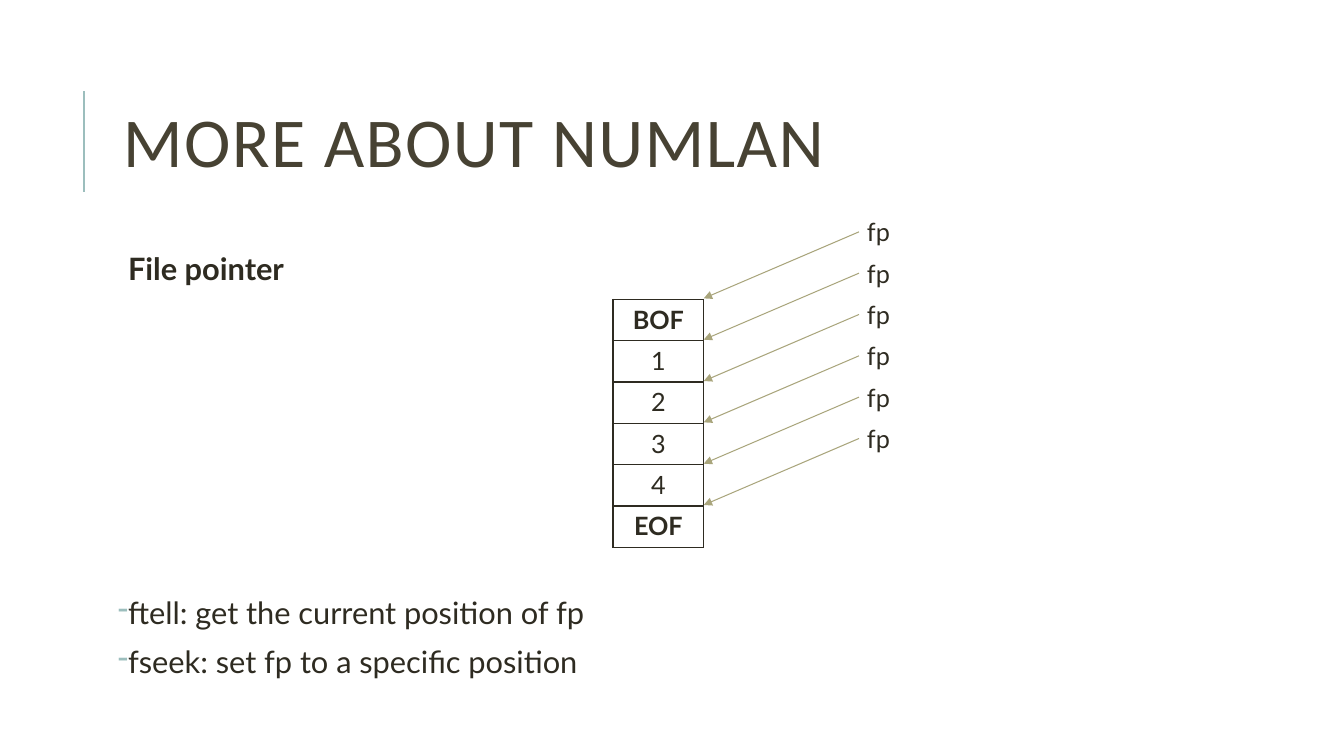
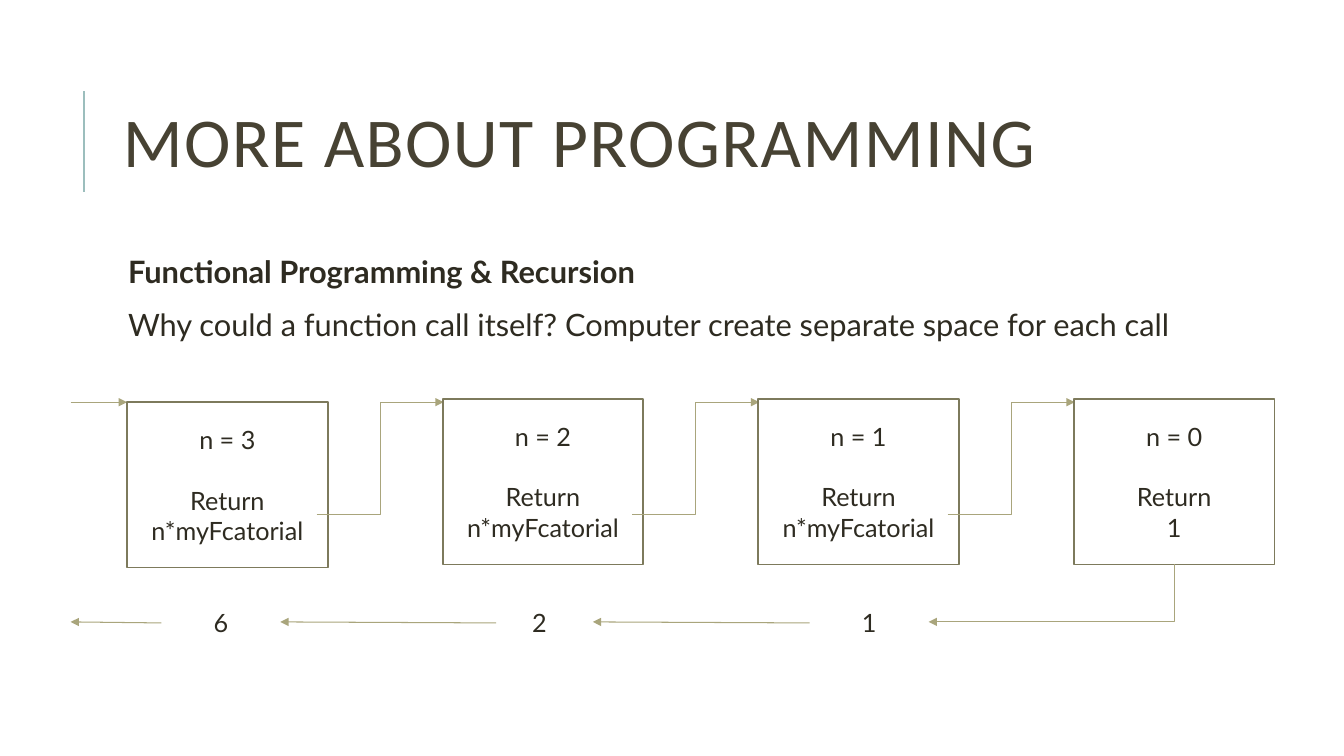
import pptx
import pptx.util
import pptx.dml.color
import pptx.enum.shapes
import pptx.enum.text
import pptx.oxml
import pptx.oxml.ns
from lxml import etree

Inches, Pt = pptx.util.Inches, pptx.util.Pt
PP_ALIGN = pptx.enum.text.PP_ALIGN
ANCHOR = pptx.enum.text.MSO_ANCHOR
CONNECTOR = pptx.enum.shapes.MSO_CONNECTOR
qn = pptx.oxml.ns.qn

COLORS = {"title": "474233", "text": "2E2B21", "accent": "9CBEBD",
          "arrow": "A9A57C", "frame": "7D7A5C"}
TITLE_FONT, BODY_FONT = "Calibri", "Lato"


def color(name):
    return pptx.dml.color.RGBColor.from_string(COLORS[name])


def style(paragraph, size=18, bold=False, font=BODY_FONT, shade="text", align=None):
    paragraph.alignment = align
    for run in paragraph.runs:
        run.font.size, run.font.bold, run.font.name = Pt(size), bold, font
        run.font.color.rgb = color(shade)


def add_text(slide, left, top, width, height, text, **look):
    label = slide.shapes.add_textbox(Inches(left), Inches(top), Inches(width), Inches(height))
    label.text_frame.word_wrap = True
    label.text_frame.text = text
    style(label.text_frame.paragraphs[0], **look)
    return label.text_frame


def add_line(slide, start, end, kind=CONNECTOR.STRAIGHT, shade="arrow", weight=0.75, arrow=True):
    line = slide.shapes.add_connector(kind, *[Inches(v) for v in (*start, *end)])
    line.line.color.rgb = color(shade)
    line.line.width = Pt(weight)
    properties = line._element.spPr
    if arrow:
        etree.SubElement(properties.find(qn("a:ln")), qn("a:tailEnd"), type="triangle")
    etree.SubElement(properties, qn("a:effectLst"))
    return line


# Shared title with its accent rule
def add_title(slide, text):
    add_line(slide, (0.83, 1.9), (0.83, 0.9), shade="accent", weight=1.5, arrow=False)
    frame = add_text(slide, 1.12, 0.64, 10.63, 1.64, text,
                     size=50, font=TITLE_FONT, shade="title")
    frame.vertical_anchor = ANCHOR.MIDDLE
    frame.paragraphs[0].line_spacing = 0.8
    frame.paragraphs[0].runs[0]._r.get_or_add_rPr().set("spc", "100")


# Body text: bold heading, then lines of (text, dashed, space before)
def add_body(slide, heading, lines, line_spacing):
    frame = add_text(slide, 1.12, 2.5, 10.63, 4.4, heading)
    frame.margin_left = frame.margin_right = Inches(0.05)
    frame.margin_top = frame.margin_bottom = Inches(0.05)
    for index, (text, dashed, before) in enumerate([(heading, False, 12), *lines]):
        paragraph = frame.add_paragraph() if index else frame.paragraphs[0]
        paragraph.text = text
        style(paragraph, size=22, bold=index == 0)
        paragraph.line_spacing = line_spacing
        paragraph.space_before, paragraph.space_after = Pt(before), Pt(2)
        properties = paragraph._p.get_or_add_pPr()
        properties.set("marL", str(Inches(0.1)))
        properties.set("indent", str(-Inches(0.1) if dashed else 0))
        if dashed:
            bullet_color = etree.SubElement(properties, qn("a:buClr"))
            etree.SubElement(bullet_color, qn("a:srgbClr"), val=COLORS["accent"])
            etree.SubElement(properties, qn("a:buChar"), char="-")


def border_cell(cell):
    properties = cell._tc.get_or_add_tcPr()
    for position, side in enumerate(("lnL", "lnR", "lnT", "lnB")):
        border = etree.Element(qn("a:" + side), w=str(Pt(1)))
        fill = etree.SubElement(border, qn("a:solidFill"))
        etree.SubElement(fill, qn("a:srgbClr"), val=COLORS["text"])
        properties.insert(position, border)


# File cells, one per row
def add_file_table(slide, left, top, width, row_height, records):
    table = slide.shapes.add_table(
        len(records), 1, Inches(left), Inches(top), Inches(width),
        Inches(row_height * len(records))).table
    table.first_row = table.horz_banding = False
    for row, record in enumerate(records):
        table.rows[row].height = Inches(row_height)
        cell = table.cell(row, 0)
        cell.text_frame.text = record
        style(cell.text_frame.paragraphs[0], bold=record in ("BOF", "EOF"),
              align=PP_ALIGN.CENTER)
        cell.fill.background()
        border_cell(cell)


# Pointer labels with arrows to the row edges
def add_pointers(slide, left, top, step, count, target_x):
    for index in range(count):
        y = top + index * step
        add_line(slide, (left + 0.02, y + 0.2), (target_x, y + 0.86))
        add_text(slide, left, y, 0.79, 0.4, "fp")


# One function call: its argument and what it returns
def add_call(slide, left, top, width, height, argument, returned):
    call = slide.shapes.add_shape(pptx.enum.shapes.MSO_SHAPE.RECTANGLE,
                                  Inches(left), Inches(top), Inches(width), Inches(height))
    call.shadow.inherit = False
    call.fill.background()
    call.line.color.rgb = color("frame")
    call.line.width = Pt(1.25)
    frame = call.text_frame
    frame.word_wrap = True
    frame.vertical_anchor = ANCHOR.MIDDLE
    frame.text = "\n".join([argument, *returned])
    for paragraph in frame.paragraphs:
        style(paragraph, align=PP_ALIGN.CENTER)
    frame.paragraphs[1].space_before = Pt(21.6)


# Chain of calls, each leading into the next
def add_call_chain(slide, left, top, pitch, width, height):
    recursive = ["Return n*myFcatorial"]
    calls = [("n = 3", recursive), ("n = 2", recursive), ("n = 1", recursive),
             ("n = 0", ["Return", "1"])]
    entry_y = top + 0.03
    add_line(slide, (left - 0.56, entry_y), (left, entry_y))
    for index, (argument, returned) in enumerate(calls):
        x = left + index * pitch
        add_call(slide, x, top if index else entry_y, width, height, argument, returned)
        if index < len(calls) - 1:
            add_line(slide, (x + 1.88, top + 1.14), (x + pitch + 0.01, entry_y),
                     kind=CONNECTOR.ELBOW)


# Corner arrow that runs down from start, then left to end
def add_corner_arrow(slide, start, end):
    center_x, center_y = (start[0] + end[0]) / 2, (start[1] + end[1]) / 2
    half_run, half_drop = (start[0] - end[0]) / 2, (end[1] - start[1]) / 2
    corner = add_line(slide, (center_x - half_drop, center_y - half_run),
                      (center_x + half_drop, center_y + half_run), kind=CONNECTOR.ELBOW)
    properties = corner._element.spPr
    properties.find(qn("a:xfrm")).set("rot", "5400000")
    properties.find(qn("a:prstGeom")).set("prst", "bentConnector2")


# Values handed back from right to left
def add_results(slide, top, width, last_call_bottom):
    y = top + 0.2
    add_corner_arrow(slide, last_call_bottom, (8.03 + width, y - 0.01))
    results = [("1", 8.03, 8.03, 5.88), ("2", 4.76, 4.92, 2.78), ("6", 1.6, 1.6, 0.7)]
    for value, left, arrow_start, arrow_end in results:
        add_text(slide, left, top, width, 0.4, value, align=PP_ALIGN.CENTER)
        add_line(slide, (arrow_start, y), (arrow_end, y - 0.01))


def build_file_pointer(slide):
    add_title(slide, "MORE ABOUT NUMLAN")
    add_body(slide, "File pointer",
             [("ftell: get the current position of fp", True, 222.5),
              ("fseek: set fp to a specific position", True, 12)], 0.8)
    add_file_table(slide, 6.08, 2.97, 0.9, 0.41, ["BOF", "1", "2", "3", "4", "EOF"])
    add_pointers(slide, 8.5, 2.1, 0.41, 6, 6.98)


def build_recursion(slide):
    add_title(slide, "MORE ABOUT PROGRAMMING")
    add_body(slide, "Functional Programming & Recursion",
             [("Why could a function call itself? Computer create separate space "
               "for each call", False, 12)], 0.9)
    add_call_chain(slide, 1.26, 3.96, 3.13, 1.99, 1.64)
    add_results(slide, 5.98, 1.18, (11.65, 5.6))


deck = pptx.Presentation()
deck.slide_width, deck.slide_height = Inches(13.33), Inches(7.5)
for build in (build_file_pointer, build_recursion):
    build(deck.slides.add_slide(deck.slide_layouts[6]))
deck.save("out.pptx")
